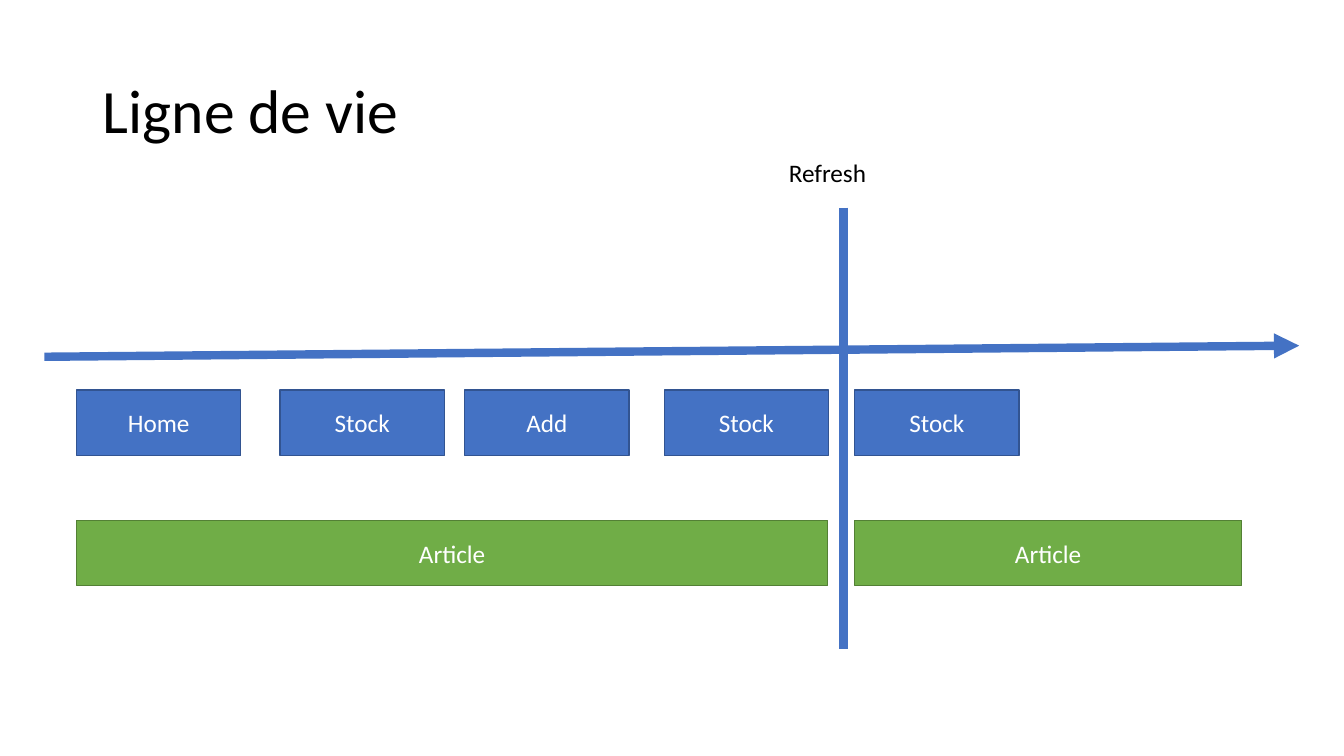
from dataclasses import dataclass

from lxml.etree import SubElement
from pptx import Presentation
from pptx.dml.color import RGBColor
from pptx.enum.shapes import MSO_CONNECTOR, MSO_SHAPE
from pptx.enum.text import MSO_ANCHOR, PP_ALIGN
from pptx.oxml.ns import qn
from pptx.slide import Slide
from pptx.text.text import TextFrame
from pptx.util import Cm, Pt

BLUE = RGBColor(0x44, 0x72, 0xC4)
DARK_BLUE = RGBColor(0x32, 0x54, 0x91)
GREEN = RGBColor(0x70, 0xAD, 0x47)
DARK_GREEN = RGBColor(0x53, 0x80, 0x35)
BLACK = RGBColor(0, 0, 0)
WHITE = RGBColor(0xFF, 0xFF, 0xFF)

BAR_HEIGHT = 1.65
FIRST_LEFT, REFRESH_LEFT = 1.93, 21.54


@dataclass(frozen=True)
class Row:
    top: float
    fill: RGBColor
    border: RGBColor


@dataclass(frozen=True)
class Bar:
    text: str
    row: Row
    left: float
    width: float = 4.14


@dataclass(frozen=True)
class Line:
    start: tuple[float, float]
    end: tuple[float, float]
    arrow: bool = False


PAGES = Row(9.83, BLUE, DARK_BLUE)
ARTICLES = Row(13.11, GREEN, DARK_GREEN)

BARS = [
    Bar("Home", PAGES, FIRST_LEFT),
    Bar("Stock", PAGES, 7.06),
    Bar("Add", PAGES, 11.71),
    Bar("Stock", PAGES, 16.74),
    Bar("Stock", PAGES, REFRESH_LEFT),
    Bar("Article", ARTICLES, FIRST_LEFT, 18.93),
    Bar("Article", ARTICLES, REFRESH_LEFT, 9.75),
]
TIME_AXIS = Line((1.12, 8.99), (32.74, 8.71), arrow=True)
REFRESH_MARK = Line((21.26, 5.23), (21.26, 16.36))


def set_text(tf: TextFrame, text: str, *, size: float = 18,
             color: RGBColor = BLACK, align: PP_ALIGN = PP_ALIGN.LEFT,
             anchor: MSO_ANCHOR = MSO_ANCHOR.TOP, wrap: bool = True,
             spacing: float = 1.0) -> None:
    tf.word_wrap = wrap
    tf.vertical_anchor = anchor
    p = tf.paragraphs[0]
    p.alignment = align
    p.line_spacing = spacing
    r = p.add_run()
    r.text = text
    r.font.name = "Calibri"
    r.font.size = Pt(size)
    r.font.color.rgb = color


def add_bar(s: Slide, bar: Bar) -> None:
    sp = s.shapes.add_shape(MSO_SHAPE.RECTANGLE, Cm(bar.left), Cm(bar.row.top),
                            Cm(bar.width), Cm(BAR_HEIGHT))
    sp.shadow.inherit = False
    sp.fill.solid()
    sp.fill.fore_color.rgb = bar.row.fill
    sp.line.color.rgb = bar.row.border
    sp.line.width = Pt(1)
    set_text(sp.text_frame, bar.text, color=WHITE, align=PP_ALIGN.CENTER,
             anchor=MSO_ANCHOR.MIDDLE)


def add_line(s: Slide, line: Line) -> None:
    cxn = s.shapes.add_connector(MSO_CONNECTOR.STRAIGHT,
                                 *map(Cm, line.start + line.end))
    cxn.line.color.rgb = BLUE
    cxn.line.width = Pt(6)
    sp_pr = cxn._element.spPr
    if line.arrow:
        SubElement(sp_pr.find(qn("a:ln")), qn("a:tailEnd"), type="triangle")
    SubElement(sp_pr, qn("a:effectLst"))


prs = Presentation()
prs.slide_width, prs.slide_height = Cm(33.87), Cm(19.05)
s = prs.slides.add_slide(prs.slide_layouts[6])

# Title
title = s.shapes.add_textbox(Cm(2.34), Cm(1.02), Cm(29.21), Cm(3.68))
set_text(title.text_frame, "Ligne de vie", size=44,
         anchor=MSO_ANCHOR.MIDDLE, spacing=0.9)

# Time axis, life spans and refresh mark
add_line(s, TIME_AXIS)
for bar in BARS:
    add_bar(s, bar)
add_line(s, REFRESH_MARK)

# Refresh label
label = s.shapes.add_textbox(Cm(19.63), Cm(3.84), Cm(2.49), Cm(1.02))
set_text(label.text_frame, "Refresh", wrap=False)

prs.save("out.pptx")
